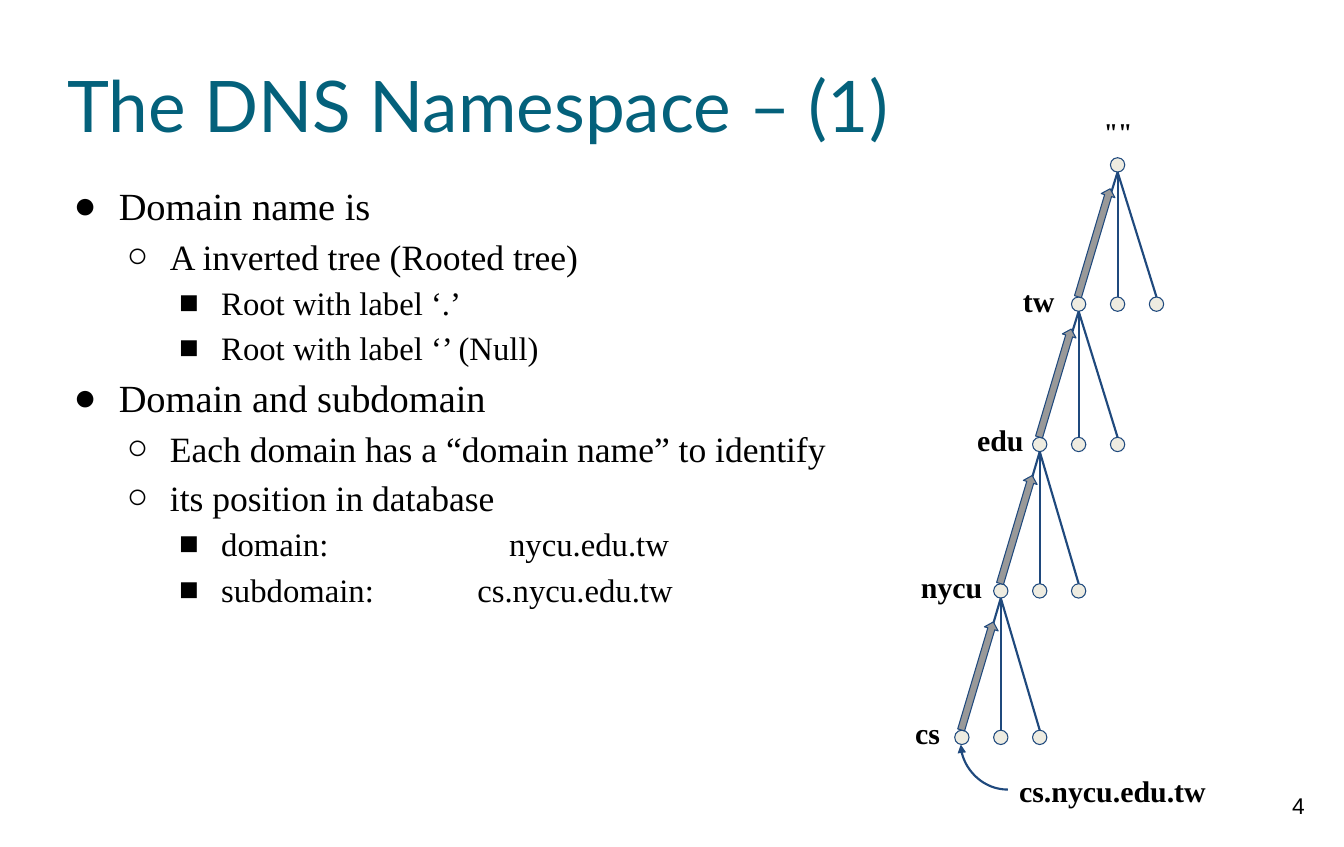
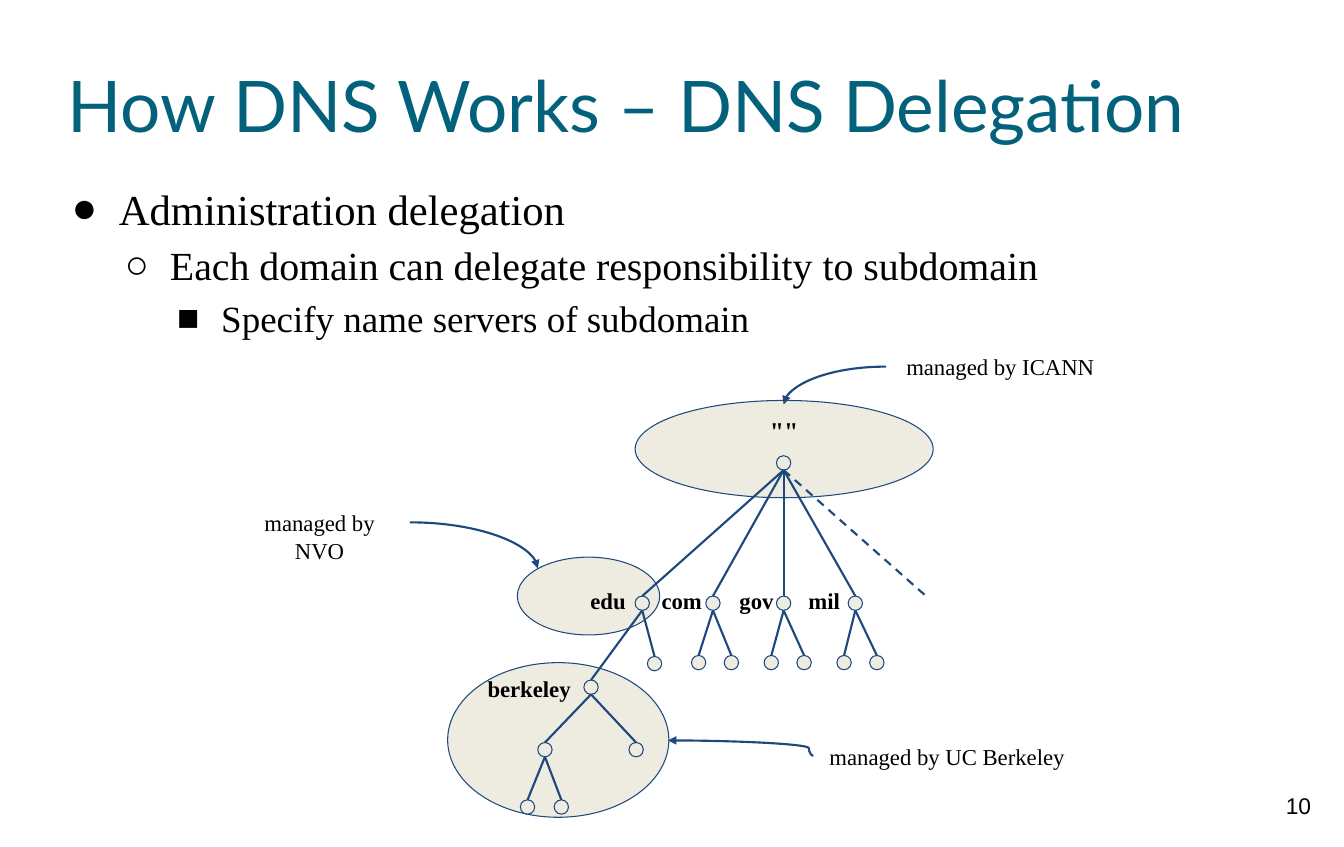
"""Build two slides on the DNS namespace tree and on delegation."""
from dataclasses import dataclass

from lxml.etree import SubElement
from pptx import Presentation
from pptx.dml.color import RGBColor
from pptx.enum.dml import MSO_LINE
from pptx.enum.shapes import MSO_CONNECTOR, MSO_SHAPE
from pptx.enum.text import MSO_ANCHOR, MSO_AUTO_SIZE, PP_ALIGN
from pptx.oxml.ns import qn
from pptx.util import Inches, Pt


@dataclass(frozen=True)
class Theme:
    title: RGBColor = RGBColor(0x04, 0x61, 0x7B)
    ink: RGBColor = RGBColor(0, 0, 0)
    line: RGBColor = RGBColor(0x1F, 0x49, 0x7D)
    node: RGBColor = RGBColor(0xEE, 0xEC, 0xE1)
    arrow: RGBColor = RGBColor(0x99, 0x99, 0x99)
    title_font: str = "Lato"
    body_font: str = "Times New Roman"
    number_font: str = "Arial"
    title_size: int = 50
    large_label: int = 21
    root_label: int = 18
    small_label: int = 16
    outline: float = 0.75
    link: float = 1.5


theme = Theme()
BULLETS = "●○■"
RADIUS = 0.07

deck = Presentation()
deck.slide_width, deck.slide_height = Inches(13.12), Inches(8.27)
column = deck.slide_width / 13.12
row = deck.slide_height / 8.27


def place(left, top, width, height):
    """Turn grid columns and rows into slide lengths."""
    return (round(left * column), round(top * row),
            round(width * column), round(height * row))


def write(frame, text, size, font=theme.body_font, color=theme.ink, bold=False,
          align=PP_ALIGN.LEFT, level=None, hang=0, tab=None):
    """Add one formatted paragraph, bulleted when a level is given."""
    para = frame.paragraphs[0] if not frame.text else frame.add_paragraph()
    para.alignment = align
    if level is not None:
        para.level = level
        para.line_spacing = 1.15
        props = para._p.get_or_add_pPr()
        props.set("marL", str(Inches(0.5 * (level + 1))))
        props.set("indent", str(-Inches(hang)))
        bullet_color = SubElement(props, qn("a:buClr"))
        SubElement(bullet_color, qn("a:srgbClr"), val=str(color))
        SubElement(props, qn("a:buFont"), typeface=font)
        SubElement(props, qn("a:buChar"), char=BULLETS[level])
        if tab:
            tabs = SubElement(props, qn("a:tabLst"))
            SubElement(tabs, qn("a:tab"), pos=str(Inches(tab)), algn="l")
    span = para.add_run()
    span.text = text
    span.font.name, span.font.size = font, Pt(size)
    span.font.bold, span.font.color.rgb = bold, color


step = 0.38
tree_rows = [1.61, 2.97, 4.34, 5.77, 7.2]
spine = [(round(10.91 - step * depth, 2), top) for depth, top in enumerate(tree_rows)]
namespace_tree = {
    parent: [below, (parent[0], below[1]), (round(parent[0] + step, 2), below[1])]
    for parent, below in zip(spine, spine[1:])
}

root = (7.65, 4.52)
edu, com, gov, mil = domains = [(6.27, 5.89), (6.96, 5.89), root[:1] + (5.89,), (8.35, 5.89)]
berkeley, department = (5.77, 6.71), (5.32, 7.32)
delegation_tree = {
    root: domains,
    edu: [berkeley, (6.39, 6.48)],
    berkeley: [department, (6.21, 7.32)],
    department: [(5.15, 7.88), (5.48, 7.88)],
}
for index, domain in enumerate([com, gov, mil]):
    left = round(6.82 + 0.71 * index, 2)
    delegation_tree[domain] = [(left, 6.47), (round(left + 0.32, 2), 6.47)]

pages = [
    dict(
        number="4", title="The DNS Namespace – (1)",
        body=(7.47, 4.28), sizes=[27, 25, 23], hangs=[0.44, 0.42, 0.41],
        bullets=[
            (0, "Domain name is", None),
            (1, "A inverted tree (Rooted tree)", None),
            (2, "Root with label ‘.’", None),
            (2, "Root with label ‘’ (Null)", None),
            (0, "Domain and subdomain", None),
            (1, "Each domain has a “domain name” to identify", None),
            (1, "its position in database", None),
            (2, "domain:\tnycu.edu.tw", 4.31),
            (2, "subdomain:\tcs.nycu.edu.tw", 4),
        ],
        areas=[], tree=namespace_tree, dashed=[],
        arrows=spine[1:],
        curves=[(9.84, 7.71, 9.38, 7.27, None)],
        labels=[
            ('""', 10.52, 1.03, 0.79, theme.root_label, True),
            ("tw", 9.84, 2.66, 0.6, theme.large_label, True),
            ("edu", 9.37, 4.02, 0.79, theme.large_label, True),
            ("nycu", 8.87, 5.45, 0.84, theme.large_label, True),
            ("cs", 8.66, 6.88, 0.79, theme.large_label, True),
            ("cs.nycu.edu.tw", 9.84, 7.44, 2.04, theme.large_label, True),
        ],
    ),
    dict(
        number="10", title="How DNS Works – DNS Delegation",
        body=(11.84, 1.56), sizes=[30, 28, 26], hangs=[0.46, 0.44, 0.43],
        bullets=[
            (0, "Administration delegation", None),
            (1, "Each domain can delegate responsibility to subdomain", None),
            (2, "Specify name servers of subdomain", None),
        ],
        areas=[(4.37, 6.47, 2.16, 1.51), (5.05, 5.44, 1.39, 0.76), (6.2, 3.91, 2.91, 0.95)],
        tree=delegation_tree, dashed=[(root, (9.04, 5.89))],
        arrows=[],
        curves=[
            (8.65, 3.58, 7.65, 3.95, None),
            (4, 5.1, 5.25, 5.55, None),
            (7.94, 7.38, 6.52, 7.23, 3100),
        ],
        labels=[
            ('""', 7.26, 3.95, 0.79, theme.root_label, True),
            ("edu", 5.54, 5.63, 0.79, theme.small_label, True),
            ("com", 6.26, 5.63, 0.79, theme.small_label, True),
            ("gov", 6.99, 5.63, 0.79, theme.small_label, True),
            ("mil", 7.65, 5.63, 0.79, theme.small_label, True),
            ("berkeley", 4.62, 6.49, 1.09, theme.small_label, True),
            ("managed by ICANN", 8.65, 3.34, 2.23, theme.small_label, False),
            ("managed by NVO", 2.24, 4.87, 1.76, theme.small_label, False),
            ("managed by UC Berkeley", 7.94, 7.15, 2.61, theme.small_label, False),
        ],
    ),
]

for page in pages:
    slide = deck.slides.add_slide(deck.slide_layouts[5])
    shapes = slide.shapes

    title = shapes.title
    title.left, title.top, title.width, title.height = place(0.66, 0.33, 11.81, 1.38)
    title.text_frame.auto_size = MSO_AUTO_SIZE.NONE
    title.text_frame.vertical_anchor = MSO_ANCHOR.MIDDLE
    body = shapes.add_textbox(*place(0.66, 1.71, *page["body"]))
    for box in (title, body):
        frame = box.text_frame
        frame.word_wrap = True
        frame.margin_left = frame.margin_right = frame.margin_top = frame.margin_bottom = 0
    write(title.text_frame, page["title"], theme.title_size,
          font=theme.title_font, color=theme.title)
    for level, text, tab in page["bullets"]:
        write(body.text_frame, text, page["sizes"][level],
              level=level, hang=page["hangs"][level], tab=tab)

    outlined = [shapes.add_shape(MSO_SHAPE.OVAL, *place(*area)) for area in page["areas"]]
    nodes = {}
    for parent, children in page["tree"].items():
        for x, y in [parent, *children]:
            if (x, y) not in nodes:
                nodes[x, y] = shapes.add_shape(
                    MSO_SHAPE.OVAL, *place(x - RADIUS, y - RADIUS, 2 * RADIUS, 2 * RADIUS))
    outlined.extend(nodes.values())

    links = [(parent, child, False)
             for parent, children in page["tree"].items() for child in children]
    links += [(start, end, True) for start, end in page["dashed"]]
    connectors = []
    for (x1, y1), (x2, y2), dashed in links:
        link = shapes.add_connector(
            MSO_CONNECTOR.STRAIGHT, *place(x1, y1 + RADIUS, x2, y2 - RADIUS))
        if dashed:
            link.line.dash_style = MSO_LINE.DASH
        else:
            link.end_connect(nodes[x2, y2], 0)
        connectors.append(link)

    curves = []
    for *ends, bend in page["curves"]:
        curve = shapes.add_connector(MSO_CONNECTOR.CURVE, *place(*ends))
        geometry = curve._element.spPr.find(qn("a:prstGeom"))
        if bend is None:
            geometry.set("prst", "curvedConnector2")
        else:
            guides = geometry.find(qn("a:avLst"))
            if guides is None:
                guides = SubElement(geometry, qn("a:avLst"))
            SubElement(guides, qn("a:gd"), name="adj1", fmla=f"val {bend}")
        curves.append(curve)

    for connector in connectors + curves:
        connector.line.color.rgb = theme.line
        connector.line.width = Pt(theme.link)
        if connector in curves:
            SubElement(connector.line._get_or_add_ln(), qn("a:tailEnd"), type="triangle")
        SubElement(connector._element.spPr, qn("a:effectLst"))

    arrows = []
    for x, y in page["arrows"]:
        arrow = shapes.add_shape(
            MSO_SHAPE.RIGHT_ARROW, *place(x - 0.4, y - 0.6 - RADIUS, 1.1, 2 * RADIUS))
        arrow.rotation = 286.6
        arrows.append(arrow)

    for shape in outlined + arrows:
        shape.shadow.inherit = False
        shape.fill.solid()
        shape.fill.fore_color.rgb = theme.arrow if shape in arrows else theme.node
        shape.line.color.rgb = theme.line
        shape.line.width = Pt(theme.outline)

    labels = [(*label, theme.body_font) for label in page["labels"]]
    labels.append((page["number"], 12.28, 7.63, 0.79, theme.small_label, False,
                   theme.number_font))
    for text, left, top, width, size, bold, font in labels:
        box = shapes.add_textbox(*place(left, top, width, 0.2 + size / 60))
        frame = box.text_frame
        frame.word_wrap = False
        frame.margin_left = frame.margin_right = Inches(0.1)
        frame.margin_top = frame.margin_bottom = Inches(0.1)
        write(frame, text, size, font=font, bold=bold, align=PP_ALIGN.CENTER)

deck.save("out.pptx")
